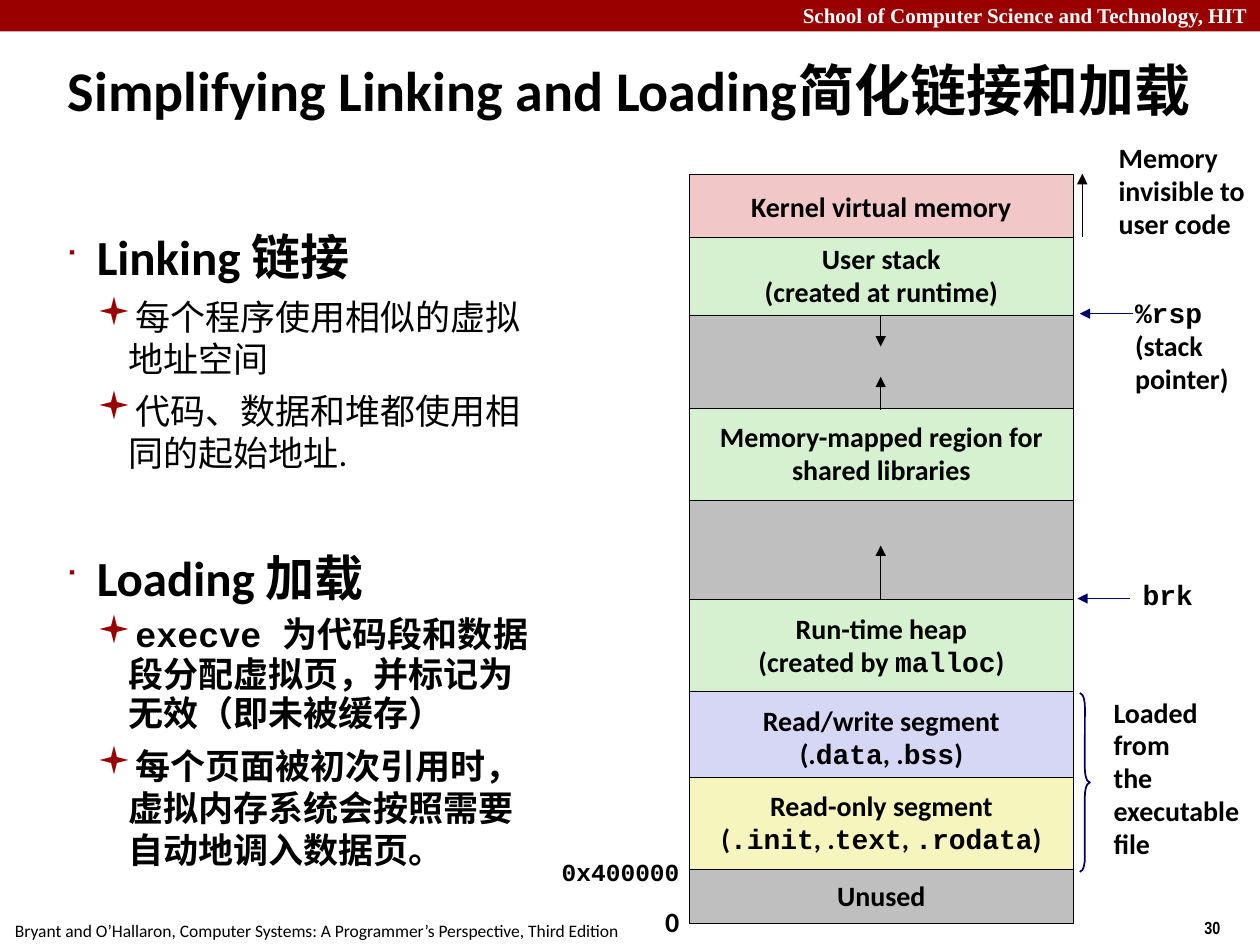
from lxml import etree
from pptx import Presentation
from pptx.dml.color import RGBColor
from pptx.enum.shapes import MSO_CONNECTOR, MSO_SHAPE
from pptx.enum.text import MSO_ANCHOR, PP_ALIGN
from pptx.oxml.ns import qn
from pptx.util import Inches, Pt

BLACK = RGBColor(0x00, 0x00, 0x00)
WHITE = RGBColor(0xFF, 0xFF, 0xFF)
DARK_RED = RGBColor(0x99, 0x00, 0x00)
NAVY = RGBColor(0x00, 0x00, 0x66)
PINK = RGBColor(0xF1, 0xC7, 0xC7)
GREEN = RGBColor(0xD5, 0xF1, 0xCF)
GRAY = RGBColor(0xBF, 0xBF, 0xBF)
LAVENDER = RGBColor(0xD6, 0xD6, 0xF5)
YELLOW = RGBColor(0xF6, 0xF5, 0xBD)
SANS, MONO = "Calibri", "Courier New"


def write(frame, lines, size=16, bold=True, color=BLACK, align=PP_ALIGN.LEFT,
          spacing=0.98, wrap=False):
    """Each line is a list of (text, font name) runs."""
    frame.word_wrap = wrap
    for number, line in enumerate(lines):
        paragraph = frame.paragraphs[0] if number == 0 else frame.add_paragraph()
        paragraph.alignment = align
        paragraph.line_spacing = spacing
        for text, font_name in line:
            run = paragraph.add_run()
            run.text = text
            run.font.name = font_name
            run.font.size = Pt(size)
            run.font.bold = bold
            run.font.color.rgb = color


def add_arrow(x1, y1, x2, y2, color=BLACK):
    arrow = slide.shapes.add_connector(
        MSO_CONNECTOR.STRAIGHT, Inches(x1), Inches(y1), Inches(x2), Inches(y2))
    arrow.line.color.rgb = color
    arrow.line.width = Pt(0.25)
    etree.SubElement(arrow.line._get_or_add_ln(), qn("a:tailEnd"), type="triangle")
    etree.SubElement(arrow._element.spPr, qn("a:effectLst"))


prs = Presentation()
prs.slide_width, prs.slide_height = Inches(10), Inches(7.5)
slide = prs.slides.add_slide(prs.slide_layouts[6])

# Header band and footer
band = slide.shapes.add_shape(MSO_SHAPE.RECTANGLE, 0, 0, Inches(10), Inches(0.25))
band.shadow.inherit = False
band.fill.solid()
band.fill.fore_color.rgb = DARK_RED
band.line.fill.background()

school = slide.shapes.add_textbox(0, Inches(-0.03), Inches(10), Inches(0.3))
write(school.text_frame,
      [[("School of Computer Science and Technology, HIT", "Times New Roman")]],
      size=12, color=WHITE, align=PP_ALIGN.RIGHT, spacing=1.0, wrap=True)

credit = slide.shapes.add_textbox(Inches(0.02), Inches(7.25), Inches(5.01), Inches(0.27))
write(credit.text_frame,
      [[("Bryant and O’Hallaron, Computer Systems: A Programmer’s Perspective, "
         "Third Edition", SANS)]], size=10, bold=False, spacing=1.0)

page = slide.shapes.add_textbox(Inches(9.46), Inches(7.23), Inches(0.75), Inches(0.27))
write(page.text_frame, [[("30", "Arial Narrow")]], size=10, spacing=1.0, wrap=True)

# Title
title = slide.shapes.add_textbox(Inches(0.44), Inches(0.28), Inches(9.42), Inches(0.86))
title.text_frame.vertical_anchor = MSO_ANCHOR.MIDDLE
write(title.text_frame, [[("Simplifying Linking and Loading简化链接和加载", SANS)]],
      size=32, spacing=1.0, wrap=True)

# Bulleted text: level, bold, space before, line spacing, runs
points = [
    (0, True, 0, 1.0, [("Linking 链接", SANS)]),
    (1, False, 5.6, 1.0, [("每个程序使用相似的虚拟地址空间", SANS)]),
    (1, False, 5.6, 1.0, [("代码、数据和堆都使用相同的起始地址.", SANS)]),
    (0, True, 42.5, 1.0, [("Loading 加载", SANS)]),
    (1, True, 5.6, 0.94, [("execve ", MONO),
                          ("为代码段和数据段分配虚拟页，并标记为无效（即未被缓存）", SANS)]),
    (1, True, 5.6, 1.0, [("每个页面被初次引用时，虚拟内存系统会按照需要自动地调入数据页。", SANS)]),
]
bullet_styles = [("■", "60000", 28), ("▪", "110000", 20)]
body = slide.shapes.add_textbox(
    Inches(0.42), Inches(1.75), Inches(3.94), Inches(5.23)).text_frame
body.word_wrap = True
for number, (level, bold, before, spacing, runs) in enumerate(points):
    mark, mark_size, text_size = bullet_styles[level]
    point = body.paragraphs[0] if number == 0 else body.add_paragraph()
    properties = point._p.get_or_add_pPr()
    properties.set("marL", str(Inches(0.25 * (level + 1))))
    properties.set("indent", str(-Inches(0.25)))
    mark_color = etree.SubElement(properties, qn("a:buClr"))
    etree.SubElement(mark_color, qn("a:srgbClr"), val=str(DARK_RED))
    etree.SubElement(properties, qn("a:buSzPct"), val=mark_size)
    etree.SubElement(properties, qn("a:buFont"), typeface="Wingdings", charset="2")
    etree.SubElement(properties, qn("a:buChar"), char=mark)
    point.level = level
    point.space_before = Pt(before)
    point.line_spacing = spacing
    for text, font_name in runs:
        run = point.add_run()
        run.text = text
        run.font.name = font_name
        run.font.size = Pt(text_size)
        run.font.bold = bold
        run.font.color.rgb = BLACK

# Memory regions from high to low addresses: top, height, fill, lines
regions = [
    (1.38, 0.53, PINK, [[("Kernel virtual memory", SANS)]]),
    (1.88, 0.62, GREEN, [[("User stack", SANS)], [("(created at runtime)", SANS)]]),
    (2.5, 0.74, GRAY, []),
    (3.24, 0.73, GREEN, [[("Memory-mapped region for", SANS)],
                         [("shared libraries", SANS)]]),
    (3.97, 0.79, GRAY, []),
    (4.76, 0.73, GREEN, [[("Run-time heap", SANS)],
                         [("(created by ", SANS), ("malloc", MONO), (")", SANS)]]),
    (5.49, 0.73, LAVENDER, [[("Read/write segment", SANS)],
                            [("(.", SANS), ("data", MONO), (", .", SANS),
                             ("bss", MONO), (")", SANS)]]),
    (6.17, 0.73, YELLOW, [[("Read-only segment", SANS)],
                          [("(", SANS), (".init", MONO), (", .", SANS), ("text", MONO),
                           (", ", SANS), (".rodata", MONO), (")", SANS)]]),
    (6.9, 0.43, GRAY, [[("Unused", SANS)]]),
]
for top, height, fill, lines in regions:
    region = slide.shapes.add_shape(
        MSO_SHAPE.RECTANGLE, Inches(5.47), Inches(top), Inches(3.05), Inches(height))
    region.shadow.inherit = False
    region.fill.solid()
    region.fill.fore_color.rgb = fill
    region.line.color.rgb = BLACK
    region.line.width = Pt(0.25)
    region.text_frame.vertical_anchor = MSO_ANCHOR.MIDDLE
    write(region.text_frame, lines, align=PP_ALIGN.CENTER)

# Growth directions inside the free areas
for start, end in [(2.5, 2.75), (3.25, 2.99), (4.75, 4.33)]:
    add_arrow(6.99, start, 6.99, end)

# Pointers beside the stack
add_arrow(8.59, 1.88, 8.59, 1.38)
add_arrow(8.99, 2.49, 8.57, 2.49, NAVY)
add_arrow(8.97, 4.75, 8.55, 4.75, NAVY)

# Labels: left, top, width, height, size, line spacing, lines
labels = [
    (8.78, 1.08, 1.2, 0.89, 16, 0.98,
     [[("Memory", SANS)], [("invisible to", SANS)], [("user code", SANS)]]),
    (8.91, 2.31, 0.95, 0.88, 16, 0.98,
     [[("%rsp", MONO)], [("(stack", SANS)], [("pointer)", SANS)]]),
    (8.97, 4.56, 0.6, 0.35, 16, 0.94, [[("brk", MONO)]]),
    (8.74, 5.48, 1.26, 1.41, 16, 0.98,
     [[("Loaded", SANS)], [("from", SANS)], [("the", SANS)],
      [("executable", SANS)], [("file", SANS)]]),
    (4.36, 6.77, 1.2, 0.32, 14, 0.94, [[("0x400000", MONO)]]),
    (5.18, 7.14, 0.31, 0.36, 16, 0.98, [[("0", SANS)]]),
]
for left, top, width, height, size, spacing, lines in labels:
    label = slide.shapes.add_textbox(
        Inches(left), Inches(top), Inches(width), Inches(height))
    write(label.text_frame, lines, size=size, spacing=spacing)

# Brace around the segments loaded from the executable
brace = slide.shapes.add_shape(
    MSO_SHAPE.RIGHT_BRACE, Inches(8.57), Inches(5.5), Inches(0.08), Inches(1.42))
brace.shadow.inherit = False
brace.adjustments[0] = 1.37
brace.fill.background()
brace.line.color.rgb = NAVY
brace.line.width = Pt(1)

prs.save("out.pptx")
